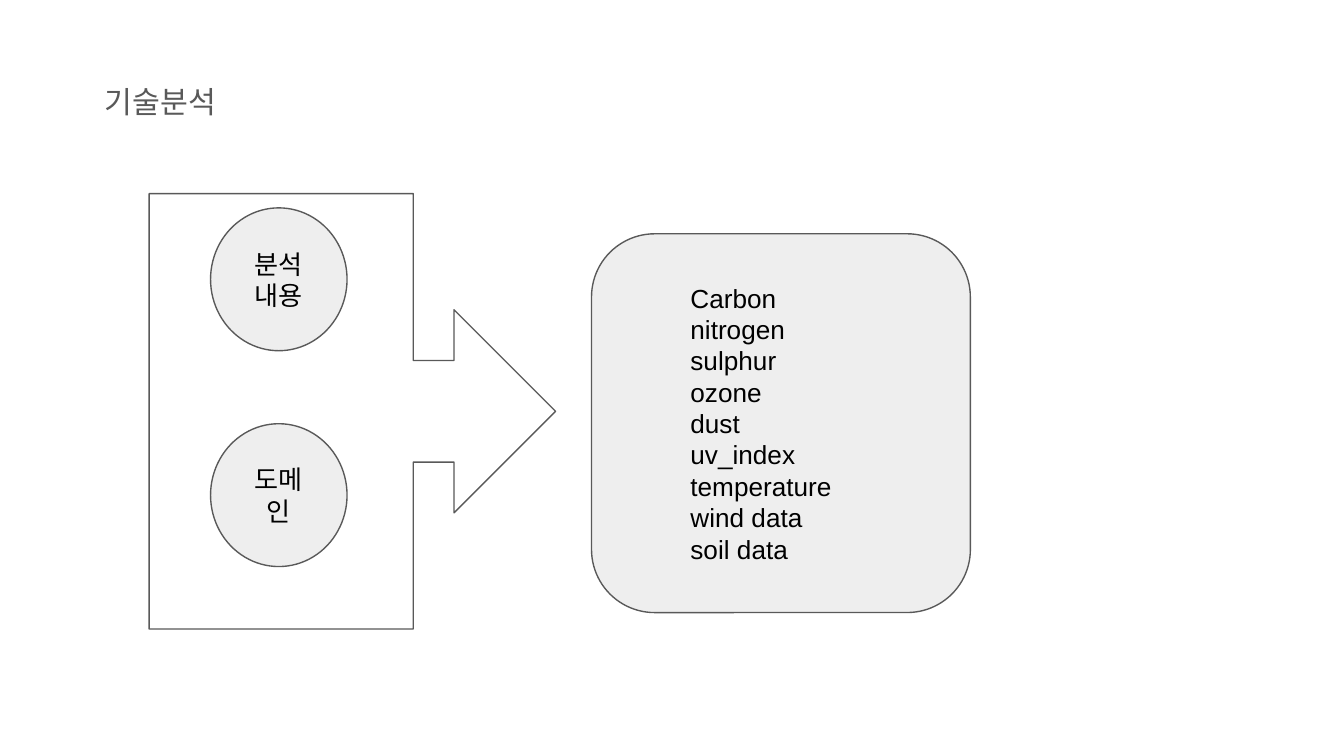
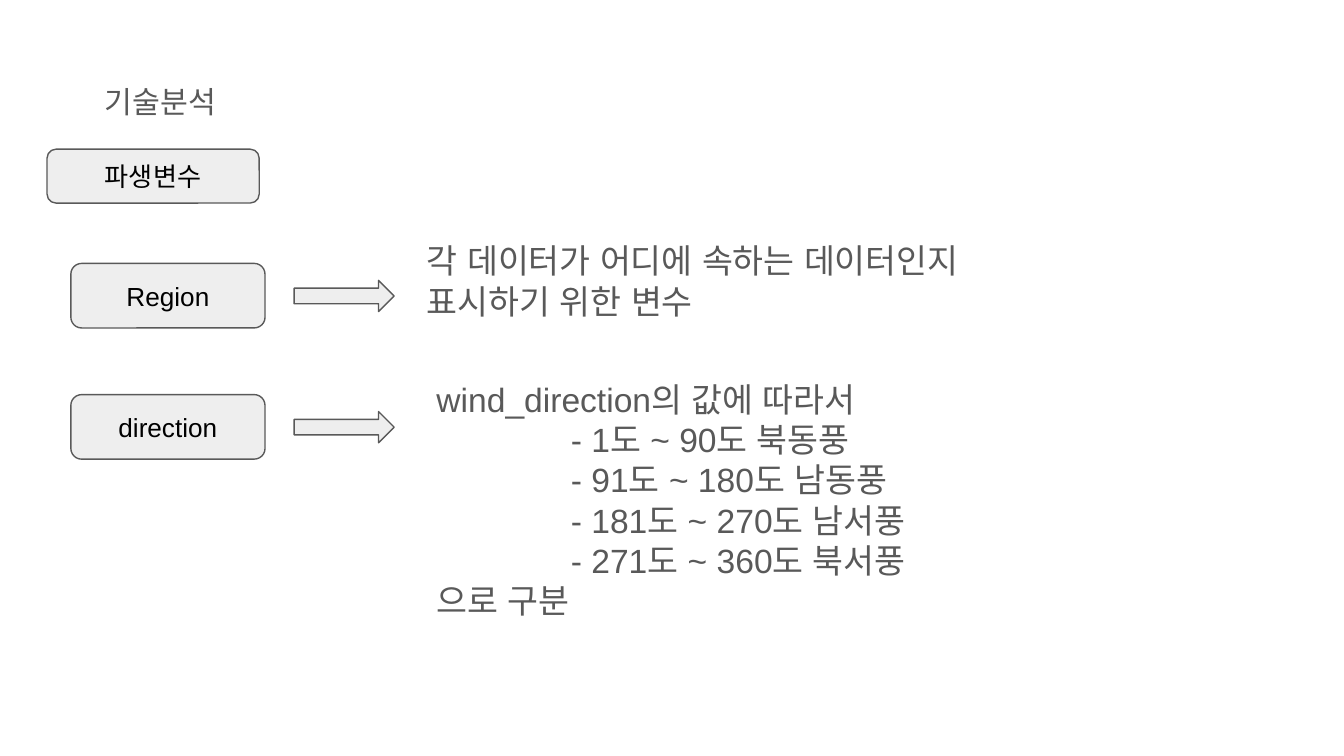
from pptx import Presentation
from pptx.dml.color import RGBColor
from pptx.enum.shapes import MSO_SHAPE
from pptx.enum.text import MSO_ANCHOR, PP_ALIGN
from pptx.oxml.ns import qn
from pptx.util import Cm, Pt

ROUND, OVAL = MSO_SHAPE.ROUNDED_RECTANGLE, MSO_SHAPE.OVAL
ARROW, CALLOUT = MSO_SHAPE.RIGHT_ARROW, MSO_SHAPE.RIGHT_ARROW_CALLOUT
TOP, MIDDLE = MSO_ANCHOR.TOP, MSO_ANCHOR.MIDDLE
LEFT, CENTER = PP_ALIGN.LEFT, PP_ALIGN.CENTER

# Content
TITLE = "기술분석"
FACTORS = ["Carbon", "nitrogen", "sulphur", "ozone", "dust", "uv_index",
           "temperature", "wind data", "soil data"]
INPUTS = ["분석 내용", "도메인"]
DERIVED = "파생변수"
# Each variable: name, description as (text, indent in cm), description box in cm
VARIABLES = [
    ("Region",
     [("각 데이터가 어디에 속하는 데이터인지 표시하기 위한 변수", 0)],
     (7.82, 4.29, 10.85, 2.34)),
    ("direction",
     [("wind_direction의 값에 따라서", 0),
      ("- 1도 ~ 90도 북동풍", 2.54),
      ("- 91도 ~ 180도 남동풍", 2.54),
      ("- 181도 ~ 270도 남서풍", 2.54),
      ("- 271도 ~ 360도 북서풍", 2.54),
      ("으로 구분", 0)],
     (8, 6.91, 10.85, 5)),
]

# Shared style
COLORS = {"panel": "EEEEEE", "gray": "595959", "black": "000000"}
FONT = "Arial"
TITLE_STYLE = {"size": Pt(16.2), "color": "gray"}
LABEL_STYLE = {"size": Pt(14), "color": "black"}
BODY_STYLE = {"size": Pt(18), "color": "gray"}
MARGIN = Cm(0.25)


def rgb(name):
    return RGBColor.from_string(COLORS[name])


def write(shape, lines, style, anchor=TOP, align=LEFT):
    """Fill a shape with (text, indent in cm) paragraphs."""
    tf = shape.text_frame
    frame = {"word_wrap": True, "vertical_anchor": anchor}
    frame.update({f"margin_{side}": MARGIN for side in ("left", "top", "right", "bottom")})
    for name, value in frame.items():
        setattr(tf, name, value)
    for i, (text, indent) in enumerate(lines):
        p = tf.add_paragraph() if i else tf.paragraphs[0]
        p.alignment = align
        if indent:
            p._p.get_or_add_pPr().set("marL", str(Cm(indent)))
        r = p.add_run()
        r.text = text
        for name, value in {"name": FONT, "size": style["size"], "bold": False}.items():
            setattr(r.font, name, value)
        r.font.color.rgb = rgb(style["color"])
        # Hangul follows the same typeface
        latin = r.font._element.find(qn("a:latin"))
        ea = latin.makeelement(qn("a:ea"), {"typeface": FONT})
        latin.addnext(ea)


def add_shape(s, kind, box, lines=(), align=CENTER, filled=True, adjust=()):
    sp = s.shapes.add_shape(kind, *map(Cm, box))
    sp.shadow.inherit = False
    if filled:
        sp.fill.solid()
        sp.fill.fore_color.rgb = rgb("panel")
    else:
        sp.fill.background()
    sp.line.color.rgb = rgb("gray")
    sp.line.width = Pt(0.75)
    for i, value in enumerate(adjust):
        sp.adjustments[i] = value
    if lines:
        write(sp, lines, LABEL_STYLE, MIDDLE, align)
    return sp


def add_slide(prs):
    s = prs.slides.add_slide(prs.slide_layouts[5])
    title = s.shapes.title
    title.left, title.top, title.width, title.height = map(Cm, (1.73, 1.32, 23.67, 1.6))
    write(title, [(TITLE, 0)], TITLE_STYLE)
    return s


def build_analysis(prs):
    s = add_slide(prs)
    add_shape(s, ROUND, (11.18, 4.42, 7.16, 7.16), [(f, 1.27) for f in FACTORS], LEFT)
    for i, text in enumerate(INPUTS):
        add_shape(s, OVAL, (3.98, 3.93 + 4.08 * i, 2.58, 2.7), [(text, 0)])
    add_shape(s, CALLOUT, (2.82, 3.66, 7.68, 8.23), filled=False,
              adjust=(0.25, 0.25, 0.25, 0.65))


def build_variables(prs):
    s = add_slide(prs)
    add_shape(s, ROUND, (0.89, 2.82, 4.01, 1.02), [(DERIVED, 0)])
    for i, (name, lines, box) in enumerate(VARIABLES):
        top = 4.98 + 2.48 * i
        add_shape(s, ROUND, (1.34, top, 3.67, 1.22), [(name, 0)])
        add_shape(s, ARROW, (5.56, top + 0.32, 1.89, 0.59))
        write(s.shapes.add_textbox(*map(Cm, box)), lines, BODY_STYLE)


def main():
    prs = Presentation()
    prs.slide_width, prs.slide_height = Cm(25.4), Cm(14.29)
    build_analysis(prs)
    build_variables(prs)
    prs.save("out.pptx")


if __name__ == "__main__":
    main()
